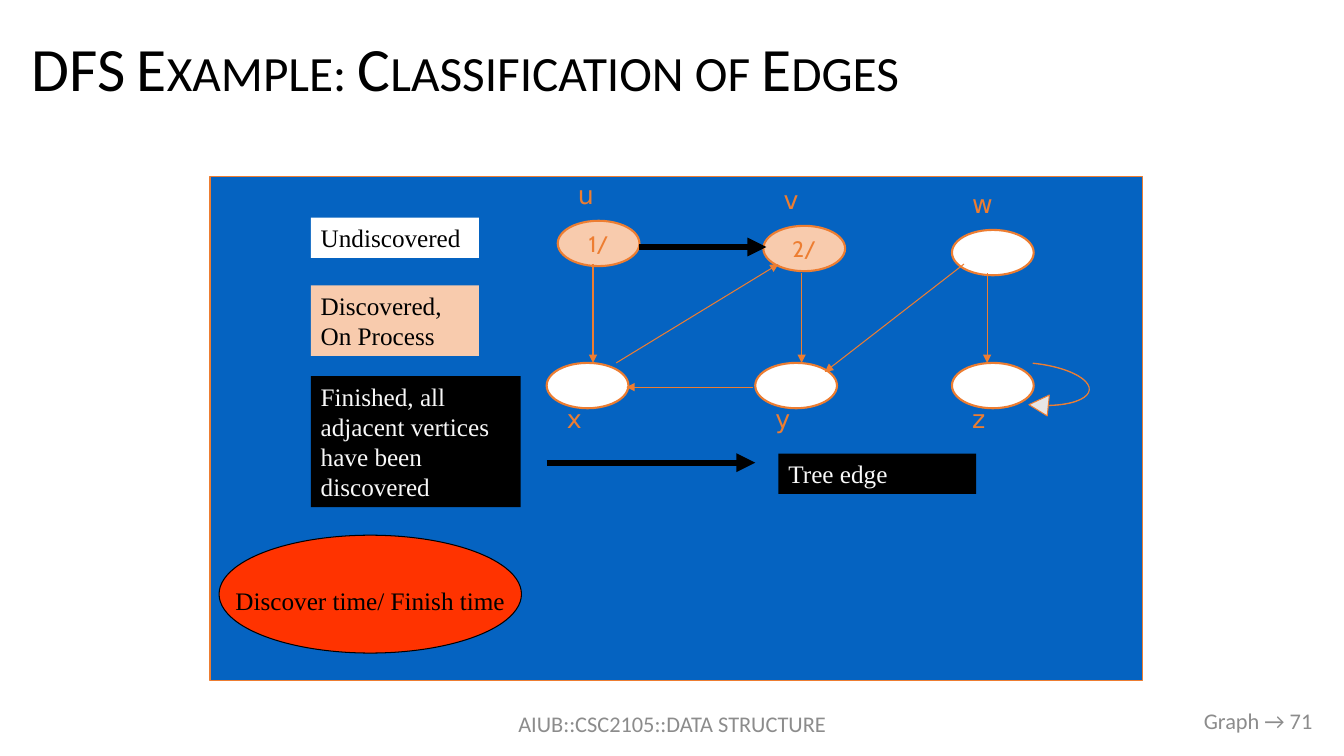
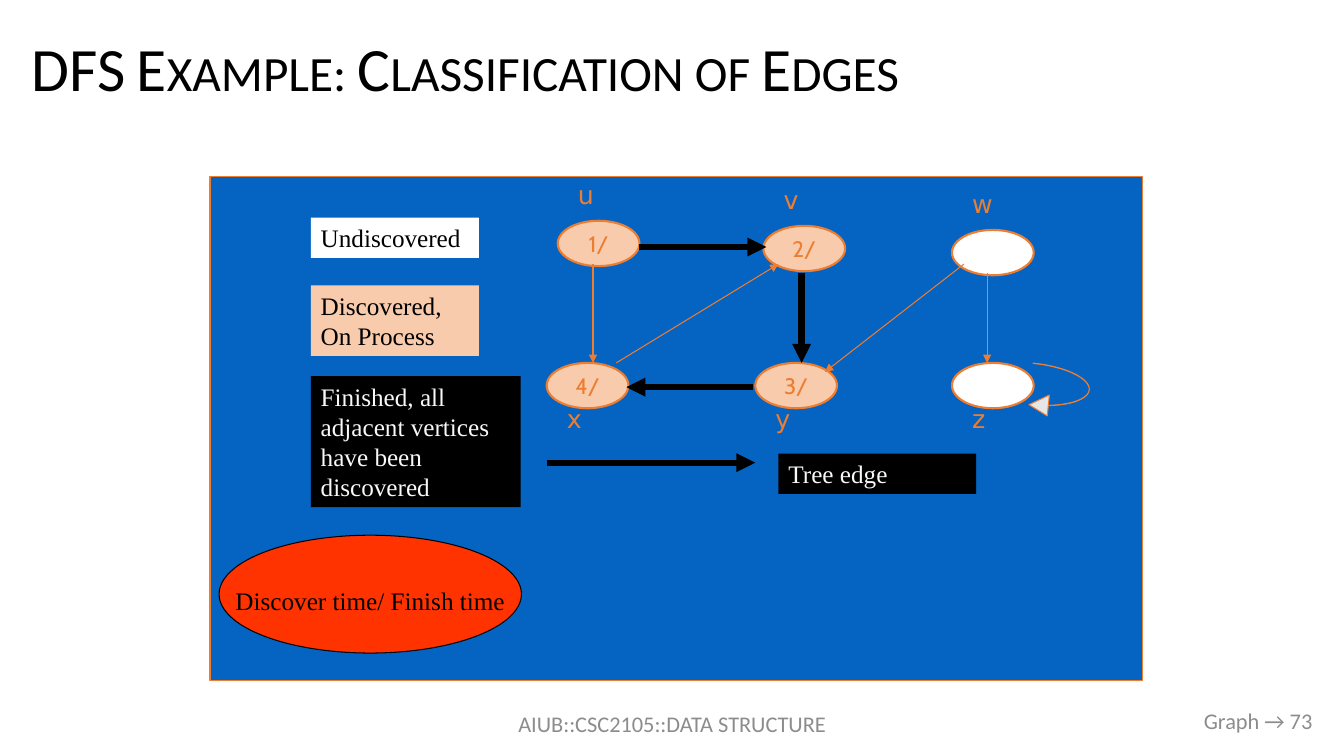
from lxml import etree
from pptx import Presentation
from pptx.dml.color import RGBColor
from pptx.enum.shapes import MSO_CONNECTOR, MSO_SHAPE
from pptx.enum.text import MSO_ANCHOR, PP_ALIGN
from pptx.oxml.ns import qn
from pptx.util import Pt

RECTANGLE, ELLIPSE = MSO_SHAPE.RECTANGLE, MSO_SHAPE.OVAL
LOOP = MSO_SHAPE.CURVED_DOWN_ARROW
STRAIGHT = MSO_CONNECTOR.STRAIGHT
TOP, MIDDLE = MSO_ANCHOR.TOP, MSO_ANCHOR.MIDDLE
LEFT, CENTER, RIGHT = PP_ALIGN.LEFT, PP_ALIGN.CENTER, PP_ALIGN.RIGHT

BLACK, WHITE, PALE = "000000", "FFFFFF", "F8F8F8"
BLUE, ORANGE, PEACH = "0563C1", "ED7D31", "F8CBAD"
RED, SILVER, GRAY = "FF3300", "E7E6E6", "8C8C8C"

TITLE_STYLE = {"name": "Calibri", "size": Pt(44), "color": BLACK}
FOOTER_STYLE = {"name": "Calibri", "size": Pt(16), "color": GRAY}
VERTEX_STYLE = {"name": "Cabin", "size": Pt(16), "color": ORANGE}
NAME_STYLE = {"name": "DejaVu Sans", "size": Pt(18), "color": ORANGE}
DARK_STYLE = {"name": "Times New Roman", "size": Pt(18), "color": BLACK}
LIGHT_STYLE = DARK_STYLE | {"color": PALE}

PANEL = (150, 126, 666, 360)
VERTEX_WIDTH, VERTEX_HEIGHT = 58.4, 32.4
BOTTOM_ROW = 133.2
VERTICES = {
    "u": (248.4, 31.7),
    "v": (395.3, 35.3),
    "w": (530, 38.2),
    "x": (240.5, BOTTOM_ROW),
    "y": (389.5, BOTTOM_ROW),
    "z": (530, BOTTOM_ROW),
}
EDGES = {
    "uv": (306.7, 50.4, 397.4, 50.4),
    "yx": (388, 150.5, 297.4, 150.5),
    "vy": (422.6, 69.1, 422.6, BOTTOM_ROW),
    "ux": (273.6, 62.6, 273.6, BOTTOM_ROW),
    "wz": (555.1, 69.1, 555.1, BOTTOM_ROW),
    "wy": (538.6, 62.6, 439.2, 139.7),
    "xv": (290.2, BOTTOM_ROW, 406.1, 62.6),
}
LEGEND = [
    ("Undiscovered", (72, 29.5, 120.2, 28.8), WHITE, DARK_STYLE),
    ("Discovered, On Process", (72, 77.8, 120.2, 50.4), PEACH, DARK_STYLE),
    ("Finished, all adjacent vertices have been discovered",
     (72, 142.6, 149.8, 93.6), BLACK, LIGHT_STYLE),
    ("Tree edge", (406.1, 198, 141.1, 28.8), BLACK, LIGHT_STYLE),
]
STEPS = [
    {"page": 71, "times": {"u": "1/", "v": "2/"}, "tree": {"uv"}},
    {"page": 73, "times": {"u": "1/", "v": "2/", "y": "3/", "x": "4/"},
     "tree": {"uv", "vy", "yx"}},
]


def color(value):
    """Turn a hex string into a colour."""
    return RGBColor.from_string(value)


def inside(origin, box):
    """Move a box from panel coordinates to slide coordinates."""
    return origin[0] + box[0], origin[1] + box[1], *box[2:]


def write(shape, text, style, align=LEFT, anchor=TOP, wrap=True, **margins):
    """Put one styled paragraph into a shape and return its run."""
    frame = shape.text_frame
    formats = {"word_wrap": wrap, "vertical_anchor": anchor}
    for name, value in (formats | margins).items():
        setattr(frame, name, value)
    paragraph = frame.paragraphs[0]
    paragraph.alignment = align
    run = paragraph.add_run()
    run.text = text
    for name, value in style.items():
        if name == "color":
            run.font.color.rgb = color(value)
        else:
            setattr(run.font, name, value)
    return run


def add_text(slide, box, text, style, **layout):
    """Add a text box and return its run."""
    return write(slide.shapes.add_textbox(*map(Pt, box)), text, style, **layout)


def add_box(slide, kind, box, fill, line=None, width=0.75):
    """Add a filled preset shape with an optional outline."""
    shape = slide.shapes.add_shape(kind, *map(Pt, box))
    shape.shadow.inherit = False
    shape.fill.solid()
    shape.fill.fore_color.rgb = color(fill)
    if line:
        shape.line.color.rgb = color(line)
        shape.line.width = Pt(width)
    else:
        shape.line.fill.background()
    return shape


def add_arrow(slide, origin, ends, is_tree):
    """Draw an arrow, thick and black for a tree edge."""
    start, end = inside(origin, ends[:2]), inside(origin, ends[2:])
    arrow = slide.shapes.add_connector(STRAIGHT, *map(Pt, start + end))
    arrow.line.color.rgb = color(BLACK if is_tree else ORANGE)
    arrow.line.width = Pt(4.5 if is_tree else 0.75)
    etree.SubElement(arrow.line._get_or_add_ln(), qn("a:tailEnd"), type="triangle")
    etree.SubElement(arrow._element.spPr, qn("a:effectLst"))


def add_frame(slide, page):
    """Add the title, the course footer and the page label."""
    title = add_text(slide, (15.8, 17.3, 928.8, 67),
                     "DFS Example: Classification of Edges", TITLE_STYLE, anchor=MIDDLE)
    title._r.get_or_add_rPr().set("cap", "small")
    add_text(slide, (318.2, 502.6, 324, 28.8), "AIUB::CSC2105::DATA STRUCTURE",
             FOOTER_STYLE, align=CENTER, anchor=MIDDLE)
    add_text(slide, (728.6, 500.4, 216, 28.8), f"Graph → {page}",
             FOOTER_STYLE, align=RIGHT, anchor=MIDDLE)


def add_legend(slide, origin):
    """Add the colour key, the tree edge sample and the time oval."""
    for text, box, fill, style in LEGEND:
        write(add_box(slide, RECTANGLE, inside(origin, box), fill), text, style)
    add_arrow(slide, origin, (240.5, 204.5, 389.5, 204.5), True)
    oval = add_box(slide, ELLIPSE, inside(origin, (6.5, 256.3, 216, 84.2)), RED, BLACK)
    write(oval, "Discover time/ Finish time", DARK_STYLE, align=CENTER,
          anchor=MIDDLE, wrap=False, margin_top=Pt(12.6))


def add_graph(slide, origin, times, tree):
    """Draw the vertices with their times, and the edges between them."""
    loop = add_box(slide, LOOP, inside(origin, (588.2, 133.2, 37.4, 41.8)), SILVER, ORANGE)
    loop.rotation = 95.8
    for index, value in enumerate((0.006, 0.402, 0.369)):
        loop.adjustments[index] = value
    for name, (left, top) in VERTICES.items():
        box = inside(origin, (left, top, VERTEX_WIDTH, VERTEX_HEIGHT))
        vertex = add_box(slide, ELLIPSE, box, PEACH if name in times else WHITE, ORANGE, 1.5)
        if name in times:
            write(vertex, times[name], VERTEX_STYLE, align=CENTER, anchor=MIDDLE, wrap=False)
        offset = 25.2 if top == BOTTOM_ROW else -33.1
        label = (left + 1.4, top + offset, VERTEX_WIDTH, 28.8)
        add_text(slide, inside(origin, label), name, NAME_STYLE, margin_left=Pt(13))
    for name, ends in EDGES.items():
        add_arrow(slide, origin, ends, name in tree)


def add_step(presentation, page, times, tree):
    """Add one slide showing a step of the search."""
    slide = presentation.slides.add_slide(presentation.slide_layouts[6])
    add_frame(slide, page)
    add_box(slide, RECTANGLE, PANEL, BLUE, ORANGE)
    origin = PANEL[:2]
    add_graph(slide, origin, times, tree)
    add_legend(slide, origin)


def main():
    """Build and save the presentation."""
    presentation = Presentation()
    presentation.slide_width, presentation.slide_height = Pt(960), Pt(540)
    for step in STEPS:
        add_step(presentation, **step)
    for slide in presentation.slides:
        for paragraph in slide.shapes[0].text_frame.paragraphs:
            paragraph.line_spacing = 0.9
    presentation.save("out.pptx")


if __name__ == "__main__":
    main()
